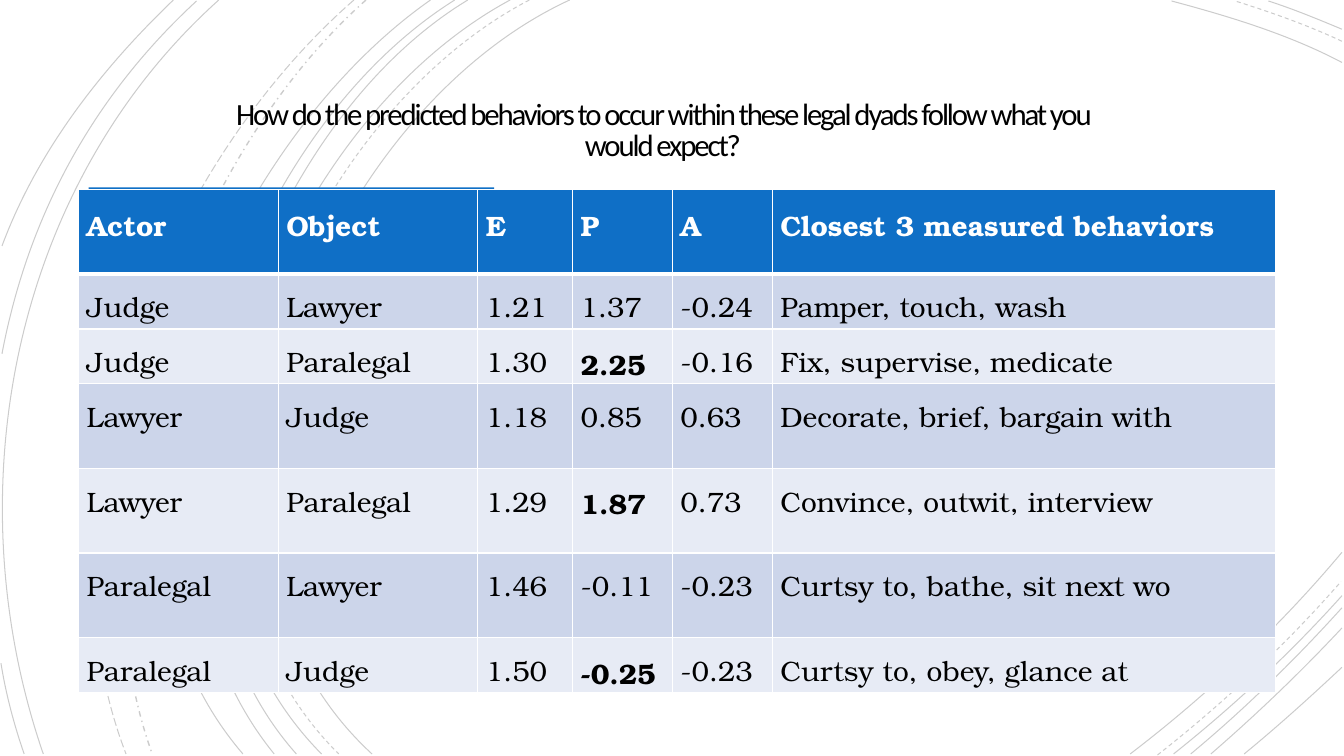
from dataclasses import dataclass

from lxml.etree import SubElement
from pptx import Presentation
from pptx.dml.color import RGBColor
from pptx.enum.dml import MSO_LINE
from pptx.enum.shapes import MSO_SHAPE
from pptx.enum.text import MSO_ANCHOR, PP_ALIGN
from pptx.oxml.ns import qn
from pptx.util import Inches, Pt


@dataclass(frozen=True)
class Theme:
    ink: RGBColor = RGBColor(0, 0, 0)
    white: RGBColor = RGBColor(255, 255, 255)
    accent: RGBColor = RGBColor(0x0F, 0x6F, 0xC6)
    band_dark: RGBColor = RGBColor(0xCC, 0xD5, 0xEA)
    band_light: RGBColor = RGBColor(0xE7, 0xEB, 0xF5)
    title_font: str = "Calibri"
    table_font: str = "TeX Gyre Bonum"
    title_size: int = 22
    table_size: int = 20


THEME = Theme()
SOLID, DASH = MSO_LINE.SOLID, MSO_LINE.DASH

# Cubic curves: start, two controls, end; then dash and width
ARCS = [
    # Left sweep
    ((5.65, 0), (3.15, 1.15), (1.43, 5.4), (3.69, 7.48), SOLID, 0.75),
    ((5.25, 0), (2.85, 1.25), (1.23, 5.37), (3.36, 7.48), DASH, 0.75),
    ((5.06, 0), (2.7, 1.27), (1.1, 5.37), (3.19, 7.48), SOLID, 0.75),
    ((4.64, 0), (2.44, 1.33), (1.1, 5.41), (2.94, 7.48), SOLID, 0.75),
    ((4.51, 0), (2.31, 1.38), (0.97, 5.33), (2.72, 7.48), SOLID, 0.75),
    ((4.27, 0), (2.17, 1.47), (0.53, 5.29), (2.41, 7.48), SOLID, 0.75),
    ((3.63, 0), (1.76, 1.66), (0.65, 5.09), (1.51, 7.48), MSO_LINE.DASH_DOT, 1),
    ((3.51, 0), (1.57, 1.69), (0.29, 4.99), (1.25, 7.48), MSO_LINE.LONG_DASH, 0.75),
    ((2.17, 0), (0.11, 1.85), (-0.46, 4.9), (0.43, 7.48), SOLID, 0.75),
    ((1.95, 0.01), (0.92, 0.96), (0.28, 2.14), (0.02, 3.51), SOLID, 0.75),
    ((0.01, 6.58), (0.06, 6.89), (0.14, 7.19), (0.24, 7.48), SOLID, 0.75),
    ((1.72, 0), (1, 0.69), (0.37, 1.5), (0.02, 2.44), SOLID, 0.75),
    # Top right corner
    ((13.31, 0.62), (12.78, 0.34), (12.18, 0.16), (11.62, 0.01), SOLID, 0.75),
    ((13.31, 0.41), (12.97, 0.25), (12.6, 0.12), (12.25, 0.01), DASH, 0.75),
    ((13.31, 0.29), (13.07, 0.19), (12.83, 0.09), (12.58, 0.01), SOLID, 0.75),
    # Bottom right corner
    ((11.21, 7.48), (11.97, 6.9), (12.69, 6.22), (13.31, 5.48), SOLID, 0.75),
    ((11.48, 7.49), (12.13, 6.98), (12.75, 6.4), (13.3, 5.77), DASH, 0.75),
    ((11.64, 7.48), (12.23, 7.01), (12.8, 6.48), (13.31, 5.91), SOLID, 0.75),
    ((11.81, 7.48), (12.34, 7.04), (12.84, 6.55), (13.31, 6.03), SOLID, 0.75),
    ((12.01, 7.48), (12.46, 7.09), (12.9, 6.67), (13.31, 6.23), SOLID, 0.75),
    ((12.34, 7.48), (12.67, 7.21), (12.99, 6.92), (13.31, 6.62), SOLID, 0.75),
]

TITLE = ("How do the predicted behaviors to occur within these legal dyads "
         "follow what you would expect?")
ROWS = [
    ("Actor", "Object", "E", "P", "A", "Closest 3 measured behaviors"),
    ("Judge", "Lawyer", "1.21", "1.37", "-0.24", "Pamper, touch, wash"),
    ("Judge", "Paralegal", "1.30", "2.25", "-0.16", "Fix, supervise, medicate"),
    ("Lawyer", "Judge", "1.18", "0.85", "0.63", "Decorate, brief, bargain with"),
    ("Lawyer", "Paralegal", "1.29", "1.87", "0.73", "Convince, outwit, interview"),
    ("Paralegal", "Lawyer", "1.46", "-0.11", "-0.23", "Curtsy to, bathe, sit next wo"),
    ("Paralegal", "Judge", "1.50", "-0.25", "-0.23", "Curtsy to, obey, glance at"),
]
COL_WIDTHS = [1.98, 1.98, 0.94, 0.99, 0.99, 4.99]
ROW_HEIGHTS = [0.84, 0.53, 0.53, 0.84, 0.84, 0.84, 0.53]
P_COLUMN = 3


def make_cubic(sp):
    """Turn the three line segments of a freeform into one cubic curve."""
    lines = list(sp._element.iter(qn("a:lnTo")))
    outline = lines[0].getparent()
    curve = SubElement(outline, qn("a:cubicBezTo"))
    for line in lines:
        curve.append(line[0])
        outline.remove(line)


def add_arcs(s):
    group = s.shapes.add_group_shape()
    for *controls, dash, width in ARCS:
        start, *rest = [(Inches(x), Inches(y)) for x, y in controls]
        builder = group.shapes.build_freeform(*start)
        builder.add_line_segments(rest, close=False)
        arc = builder.convert_to_shape()
        make_cubic(arc)
        arc.shadow.inherit = False
        arc.fill.background()
        arc.line.color.rgb = THEME.ink
        arc.line.width = Pt(width)
        arc.line.dash_style = dash
        # Faint line: 20% opacity
        color = arc.line.fill._xPr.find(qn("a:solidFill"))[0]
        SubElement(color, qn("a:alpha"), val="20000")


def add_callout_panel(s, x, y, w):
    """Header bar, body and downward pointer behind the table."""
    group = s.shapes.add_group_shape()
    parts = [
        (MSO_SHAPE.RECTANGLE, x, y, w, 0.55, 0),
        (MSO_SHAPE.ISOSCELES_TRIANGLE, x + 1.83, y + 3.5, 0.35, 0.3, 180),
        (MSO_SHAPE.RECTANGLE, x, y + 0.63, w, 2.87, 0),
    ]
    for kind, left, top, width, height, angle in parts:
        sp = group.shapes.add_shape(kind, Inches(left), Inches(top),
                                    Inches(width), Inches(height))
        sp.rotation = angle
        sp.shadow.inherit = False
        sp.fill.solid()
        sp.fill.fore_color.rgb = THEME.accent
        sp.line.fill.background()


def add_title(s, x, y, w, h):
    tf = s.shapes.add_textbox(Inches(x), Inches(y), Inches(w), Inches(h)).text_frame
    tf.word_wrap = True
    tf.vertical_anchor = MSO_ANCHOR.MIDDLE
    tf.margin_left = tf.margin_right = tf.margin_top = tf.margin_bottom = Inches(0.25)
    p = tf.paragraphs[0]
    p.alignment = PP_ALIGN.CENTER
    p.line_spacing = 0.85
    r = p.add_run()
    r.text = TITLE
    p.font.name = THEME.title_font
    p.font.size = Pt(THEME.title_size)
    p.font.color.rgb = THEME.ink
    r.font._element.set("spc", "-150")


def add_borders(cell, row):
    tcPr = cell._tc.get_or_add_tcPr()
    heavy = {"lnB": 0, "lnT": 1}  # rule under the header row
    for side in ("lnL", "lnR", "lnT", "lnB"):
        width = Pt(3 if heavy.get(side) == row else 1)
        ln = SubElement(tcPr, qn(f"a:{side}"), w=str(width))
        fill = SubElement(ln, qn("a:solidFill"))
        SubElement(fill, qn("a:srgbClr"), val=str(THEME.white))


def fill_cell(cell, text, row, col):
    header, even = row == 0, row % 2 == 0
    add_borders(cell, row)
    cell.fill.solid()
    cell.fill.fore_color.rgb = (THEME.accent if header else
                                THEME.band_light if even else THEME.band_dark)
    cell.margin_left = cell.margin_right = Inches(0.08)
    cell.margin_top = cell.margin_bottom = Inches(0.08)
    p = cell.text_frame.paragraphs[0]
    p.text = text
    p.line_spacing = 1.15
    p.font.name = THEME.table_font
    p.font.size = Pt(THEME.table_size)
    p.font.bold = header or (even and col == P_COLUMN)
    p.font.color.rgb = THEME.white if header else THEME.ink


def add_dyad_table(s, x, y):
    frame = s.shapes.add_table(len(ROWS), len(COL_WIDTHS), Inches(x), Inches(y),
                               Inches(sum(COL_WIDTHS)), Inches(sum(ROW_HEIGHTS)))
    table = frame.table
    table.horz_banding = False
    for column, width in zip(table.columns, COL_WIDTHS):
        column.width = Inches(width)
    for i, (height, texts) in enumerate(zip(ROW_HEIGHTS, ROWS)):
        table.rows[i].height = Inches(height)
        for j, text in enumerate(texts):
            fill_cell(table.cell(i, j), text, i, j)


def main():
    prs = Presentation()
    prs.slide_width, prs.slide_height = Inches(13.33), Inches(7.5)
    s = prs.slides.add_slide(prs.slide_layouts[6])
    add_arcs(s)
    add_callout_panel(s, 0.88, 1.86, 4.02)
    add_title(s, 1.83, 0.73, 9.49, 1.15)
    add_dyad_table(s, 0.78, 1.88)
    prs.save("out.pptx")


if __name__ == "__main__":
    main()
